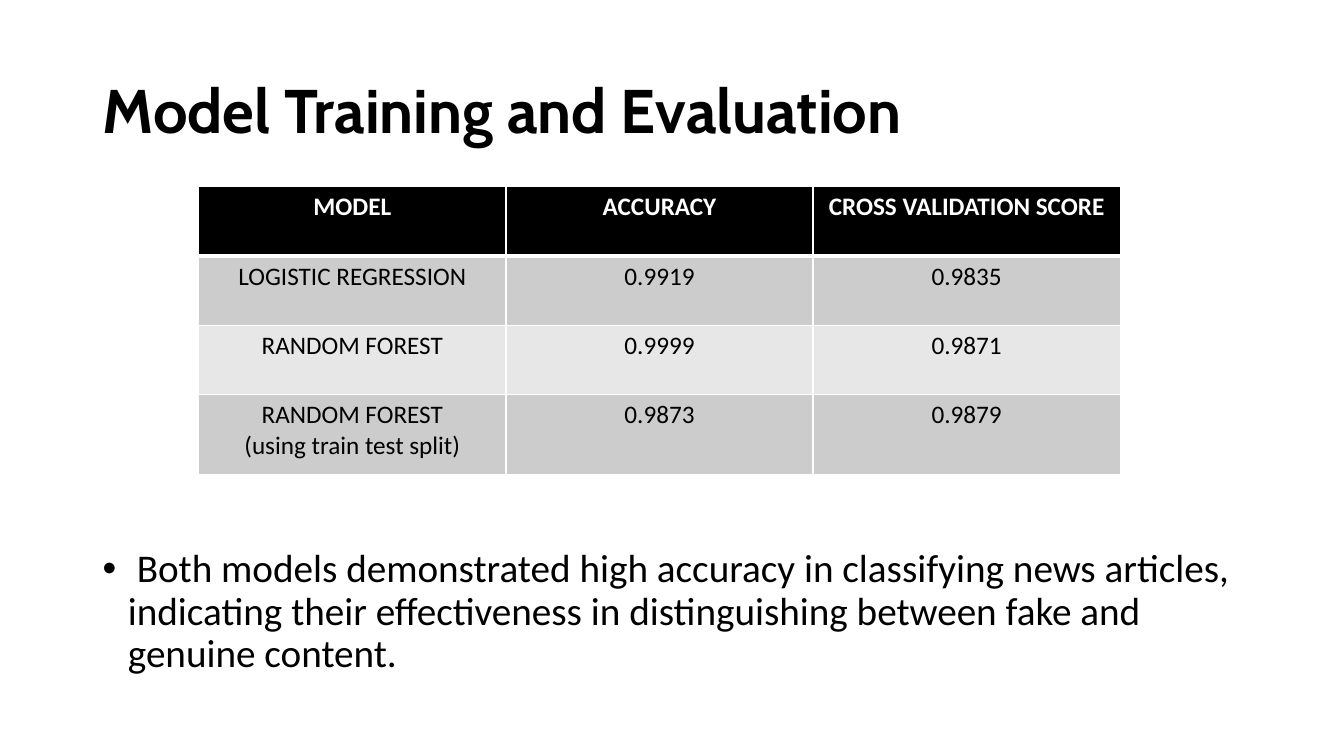
from dataclasses import dataclass

from lxml.etree import SubElement
from pptx import Presentation
from pptx.dml.color import RGBColor
from pptx.enum.text import MSO_ANCHOR, MSO_AUTO_SIZE, PP_ALIGN
from pptx.oxml.ns import qn
from pptx.util import Cm, Pt


@dataclass(frozen=True)
class Theme:
    title_font: str = "Cabin"
    body_font: str = "Calibri"
    title_size: int = 44
    body_size: int = 28
    table_size: int = 18
    text: str = "000000"
    header_text: str = "FFFFFF"
    header_fill: str = "000000"
    band_fills: tuple = ("CCCCCC", "E7E7E7")
    border: str = "FFFFFF"
    thin: int = 1
    thick: int = 3


THEME = Theme()

TITLE = "Model Training and Evaluation"
FINDING = (
    " Both models demonstrated high accuracy in classifying news articles, "
    "indicating their effectiveness in distinguishing between fake and "
    "genuine content."
)
RESULTS = [
    ("MODEL", "ACCURACY", "CROSS VALIDATION SCORE"),
    ("LOGISTIC REGRESSION", "0.9919", "0.9835"),
    ("RANDOM FOREST", "0.9999", "0.9871"),
    ("RANDOM FOREST\n(using train test split)", "0.9873", "0.9879"),
]
COLUMN_WIDTH = Cm(7.74)
ROW_HEIGHTS = [Cm(1.75)] * 3 + [Cm(2.02)]


def place(shape, left, top, width, height):
    shape.left, shape.top = Cm(left), Cm(top)
    shape.width, shape.height = Cm(width), Cm(height)


def format_text(text_frame, font, size, color, bold=False, align=PP_ALIGN.LEFT):
    for paragraph in text_frame.paragraphs:
        paragraph.alignment = align
        for run in paragraph.runs:
            run.font.name = font
            run.font.size = Pt(size)
            run.font.bold = bold
            run.font.color.rgb = RGBColor.from_string(color)


def fill_placeholder(shape, text, anchor, font, size, bold=False):
    text_frame = shape.text_frame
    text_frame.text = text
    text_frame.word_wrap = True
    text_frame.auto_size = MSO_AUTO_SIZE.NONE
    text_frame.vertical_anchor = anchor
    for paragraph in text_frame.paragraphs:
        paragraph.line_spacing = 0.9
        paragraph.space_before = Pt(0)
    format_text(text_frame, font, size, THEME.text, bold)


def add_bullet(paragraph, indent):
    properties = paragraph._p.get_or_add_pPr()
    properties.set("marL", str(indent))
    properties.set("indent", str(-indent))
    SubElement(properties, qn("a:buFont")).set("typeface", "Arial")
    SubElement(properties, qn("a:buChar")).set("char", "•")


def set_borders(cell, top, bottom):
    """Draw all four cell borders; call before the fill, which must follow them."""
    properties = cell._tc.get_or_add_tcPr()
    widths = {"lnL": THEME.thin, "lnR": THEME.thin, "lnT": top, "lnB": bottom}
    for side, width in widths.items():
        line = SubElement(properties, qn(f"a:{side}"), w=str(Pt(width)))
        fill = SubElement(line, qn("a:solidFill"))
        SubElement(fill, qn("a:srgbClr"), val=THEME.border)


def format_cell(cell, row):
    is_header = row == 0
    set_borders(
        cell,
        top=THEME.thick if row == 1 else THEME.thin,
        bottom=THEME.thick if is_header else THEME.thin,
    )
    fill = THEME.header_fill if is_header else THEME.band_fills[(row - 1) % 2]
    cell.fill.solid()
    cell.fill.fore_color.rgb = RGBColor.from_string(fill)
    color = THEME.header_text if is_header else THEME.text
    format_text(cell.text_frame, THEME.body_font, THEME.table_size, color,
                is_header, PP_ALIGN.CENTER)


def add_results_table(slide, left, top):
    column_count = len(RESULTS[0])
    frame = slide.shapes.add_table(
        len(RESULTS), column_count, Cm(left), Cm(top),
        COLUMN_WIDTH * column_count, sum(ROW_HEIGHTS),
    )
    table = frame.table
    for column in table.columns:
        column.width = COLUMN_WIDTH
    for row, values in enumerate(RESULTS):
        table.rows[row].height = ROW_HEIGHTS[row]
        for column, value in enumerate(values):
            cell = table.cell(row, column)
            cell.text_frame.text = value
            format_cell(cell, row)


def main():
    presentation = Presentation()
    presentation.slide_width = Cm(33.87)
    presentation.slide_height = Cm(19.05)
    slide = presentation.slides.add_slide(presentation.slide_layouts[1])

    title, body = slide.placeholders
    place(title, 2.33, 1.01, 29.21, 3.68)
    fill_placeholder(title, TITLE, MSO_ANCHOR.MIDDLE,
                     THEME.title_font, THEME.title_size, bold=True)
    place(body, 2.33, 5.07, 29.21, 12.09)
    fill_placeholder(body, FINDING, MSO_ANCHOR.BOTTOM,
                     THEME.body_font, THEME.body_size)
    add_bullet(body.text_frame.paragraphs[0], Cm(0.64))

    add_results_table(slide, 5.01, 4.7)
    presentation.save("out.pptx")


if __name__ == "__main__":
    main()
